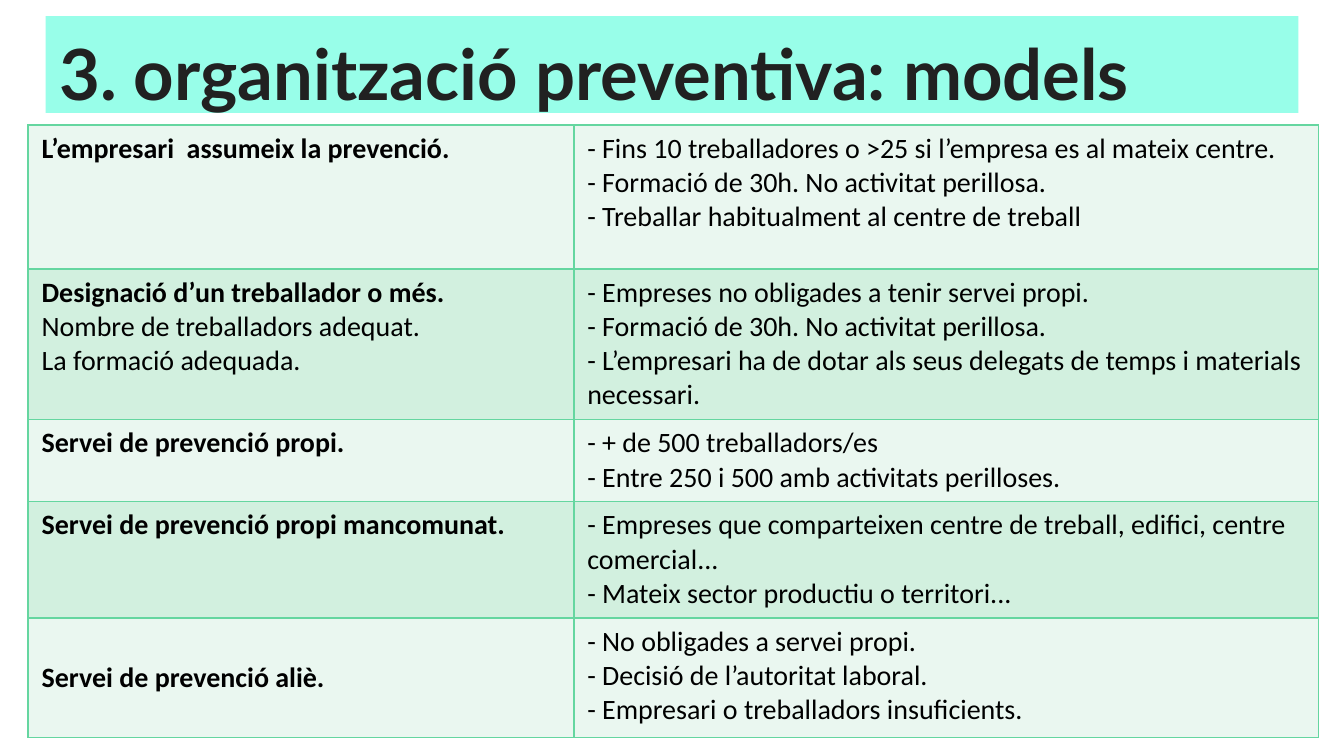
from lxml import etree
from pptx import Presentation
from pptx.dml.color import RGBColor
from pptx.enum.text import MSO_ANCHOR, MSO_AUTO_SIZE, PP_ALIGN
from pptx.oxml.ns import qn
from pptx.util import Inches, Pt

TOP, MIDDLE = MSO_ANCHOR.TOP, MSO_ANCHOR.MIDDLE
LEFT, NO_AUTOFIT = PP_ALIGN.LEFT, MSO_AUTO_SIZE.NONE
TITLE_ONLY = 5

# Content
TITLE = "3. organització preventiva: models"
# Each model: row height, anchor of its name, name and notes, requirements
MODELS = [
    (1.07, TOP, ["L’empresari  assumeix la prevenció."],
     ["- Fins 10 treballadores o >25 si l’empresa es al mateix centre.",
      "- Formació de 30h. No activitat perillosa.",
      "- Treballar habitualment al centre de treball"]),
    (1.01, TOP, ["Designació d’un treballador o més.",
                 "Nombre de treballadors adequat.",
                 "La formació adequada."],
     ["- Empreses no obligades a tenir servei propi.",
      "- Formació de 30h. No activitat perillosa.",
      "- L’empresari ha de dotar als seus delegats de temps i materials necessari."]),
    (0.55, TOP, ["Servei de prevenció propi."],
     ["- + de 500 treballadors/es",
      "- Entre 250 i 500 amb activitats perilloses."]),
    (0.78, TOP, ["Servei de prevenció propi mancomunat."],
     ["- Empreses que comparteixen centre de treball, edifici, centre comercial...",
      "- Mateix sector productiu o territori..."]),
    (0.89, MIDDLE, ["Servei de prevenció aliè."],
     ["- No obligades a servei propi.",
      "- Decisió de l’autoritat laboral.",
      "- Empresari o treballadors insuficients."]),
]
COLUMN_WIDTHS = [4.06, 5.54]

THEME = {
    "title_font": "Lato", "title_size": 37.8, "title_color": "212121",
    "title_fill": "98FEE9",
    "body_font": "Calibri", "body_size": 15, "body_color": "000000",
    "bands": ["EAF7F0", "D2F0DF"],
    "border": "65D6A0", "border_width": 1,
}


def paint(target, color):
    target.fill.solid()
    target.fill.fore_color.rgb = RGBColor.from_string(color)


def format_runs(paragraph, style, bold):
    for run in paragraph.runs:
        run.font.name = THEME[style + "_font"]
        run.font.size = Pt(THEME[style + "_size"])
        run.font.color.rgb = RGBColor.from_string(THEME[style + "_color"])
        run.font.bold = bold


def add_borders(cell):
    properties = cell._tc.get_or_add_tcPr()
    for index, side in enumerate(("a:lnL", "a:lnR", "a:lnT", "a:lnB")):
        line = etree.Element(qn(side), w=str(Pt(THEME["border_width"])))
        fill = etree.SubElement(line, qn("a:solidFill"))
        etree.SubElement(fill, qn("a:srgbClr"), val=THEME["border"])
        properties.insert(index, line)


def fill_cell(cell, lines, band, anchor, bold_first):
    cell.text_frame.text = "\n".join(lines)
    cell.vertical_anchor = anchor
    for index, paragraph in enumerate(cell.text_frame.paragraphs):
        format_runs(paragraph, "body", bold_first and index == 0)
    paint(cell, band)
    add_borders(cell)


# Widescreen slide, 16:9
presentation = Presentation()
presentation.slide_width = Inches(10)
presentation.slide_height = Inches(10 * 9 / 16)
slide = presentation.slides.add_slide(presentation.slide_layouts[TITLE_ONLY])

# Title band
title = slide.shapes.title
title.left, title.top = Inches(0.34), Inches(0.12)
title.width, title.height = Inches(9.32), Inches(0.72)
paint(title, THEME["title_fill"])
frame = title.text_frame
frame.text = TITLE
frame.word_wrap = True
frame.auto_size = NO_AUTOFIT
frame.vertical_anchor = TOP
frame.margin_left = frame.margin_right = Inches(0.1)
frame.margin_top = frame.margin_bottom = Inches(0.1)
frame.paragraphs[0].alignment = LEFT
format_runs(frame.paragraphs[0], "title", True)

# Table of prevention models
table_height = sum(model[0] for model in MODELS)
table = slide.shapes.add_table(
    len(MODELS), len(COLUMN_WIDTHS), Inches(0.21), Inches(0.93),
    Inches(sum(COLUMN_WIDTHS)), Inches(table_height)).table
for column, width in zip(table.columns, COLUMN_WIDTHS):
    column.width = Inches(width)
for index, (height, anchor, name, requirements) in enumerate(MODELS):
    table.rows[index].height = Inches(height)
    band = THEME["bands"][index % 2]
    fill_cell(table.cell(index, 0), name, band, anchor, True)
    fill_cell(table.cell(index, 1), requirements, band, TOP, False)

presentation.save("out.pptx")
